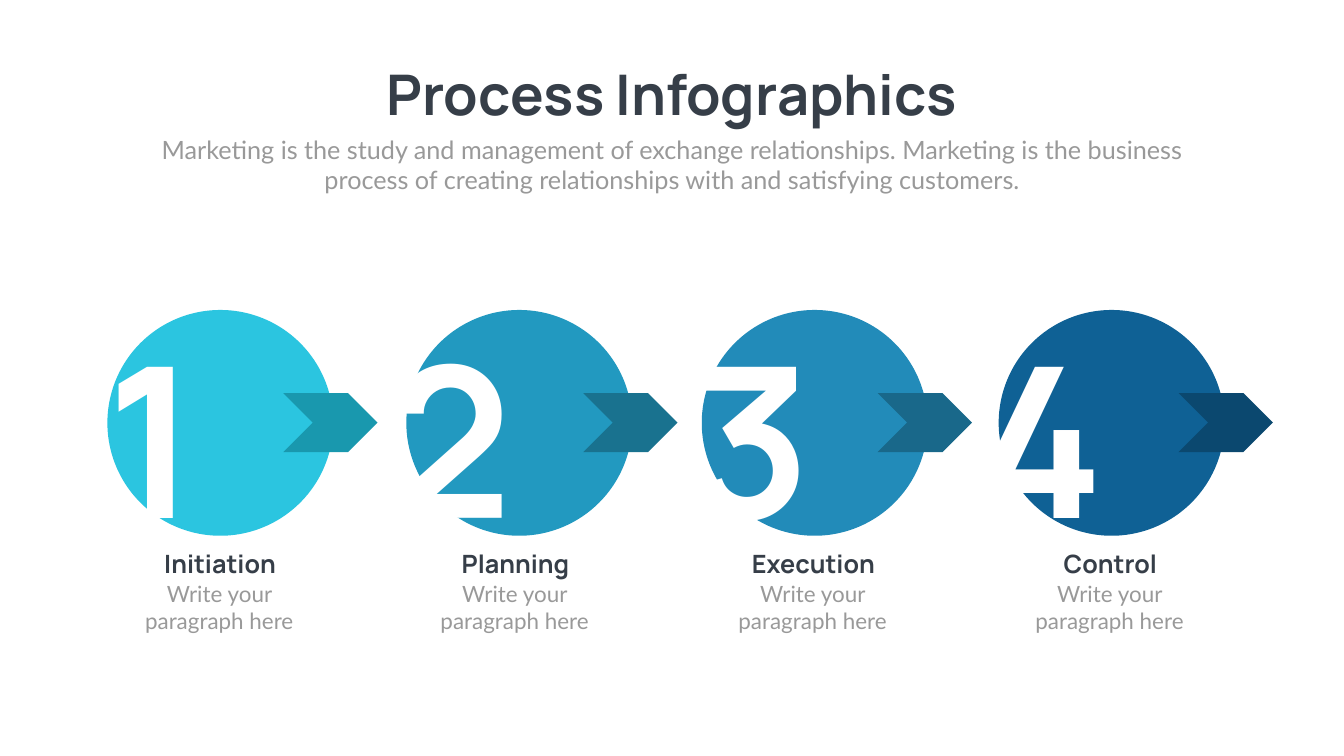
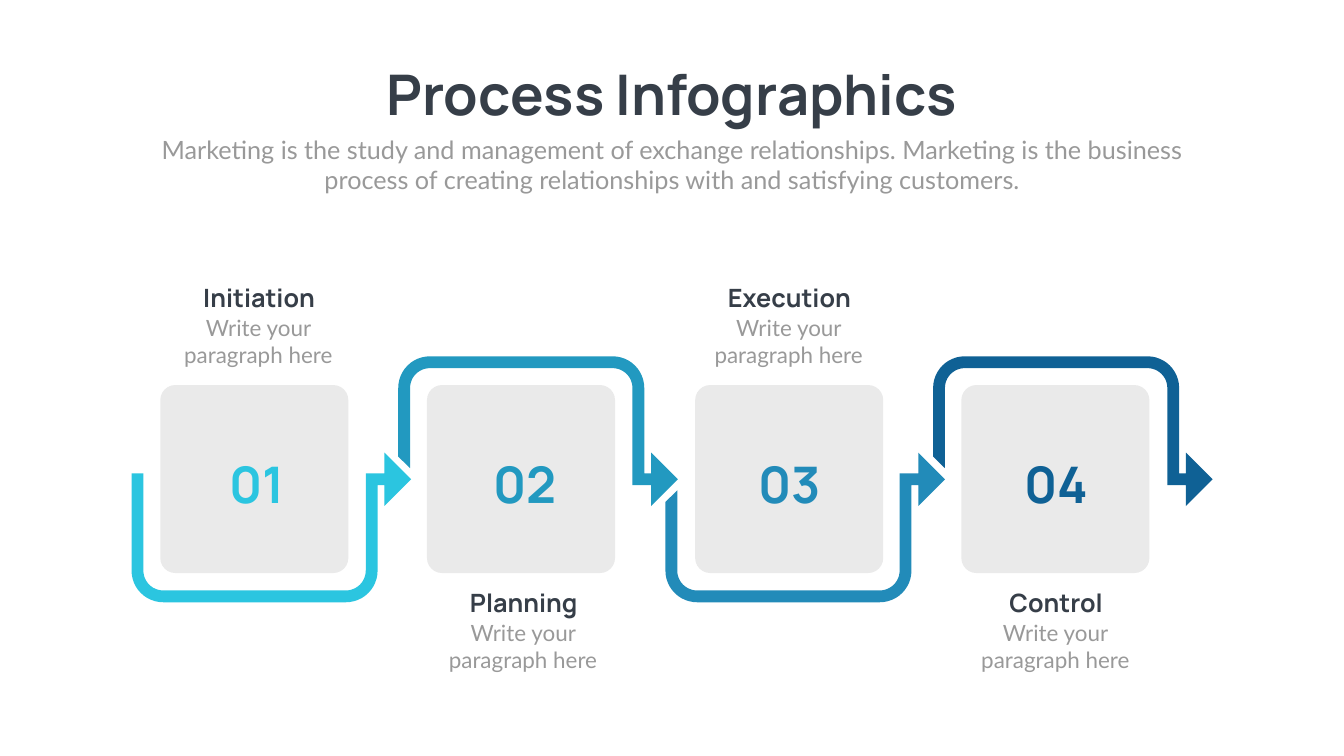
"""Build two process infographic slides, each with four steps."""
import math
from collections import namedtuple

from pptx import Presentation
from pptx import util as u
from pptx.dml import color
from pptx.enum import shapes, text

COLORS = {
    "title": "363E48",
    "body": "999999",
    "card": "EAEAEA",
    "white": "FFFFFF",
    "steps": ["2BC5E0", "2299C0", "228BB9", "0F6195"],
    "arrows": ["1998AE", "19728F", "19688A", "0B486F"],
}
HEADING_FONT, BODY_FONT = "Manrope", "Lato"
SLIDE_WIDTH, SLIDE_HEIGHT = 1919.52, 1080
TITLE = "Process Infographics"
SUBTITLE = ("Marketing is the study and management of exchange relationships. "
            "Marketing is the business process of creating relationships "
            "with and satisfying customers.")
STEP_NAMES = ["Initiation", "Planning", "Execution", "Control"]
STEP_TEXT = "Write your paragraph here"

Box = namedtuple("Box", "left top width height")
CircleStep = namedtuple("CircleStep", "circle number caption arrow")
CardStep = namedtuple("CardStep", "card number caption track")

CIRCLE_STEPS = [
    CircleStep(153.36, 70.56, 176.4, 404.64),
    CircleStep(580.32, 495.36, 598.32, 833.04),
    CircleStep(1002.24, 923.76, 1023.84, 1253.52),
    CircleStep(1426.32, 1337.76, 1447.92, 1683.36),
]
CARD_STEPS = [
    CardStep(228.96, 299.52, 246.96, 187.92),
    CardStep(609.84, 682.56, 624.96, 568.8),
    CardStep(992.88, 1060.56, 1004.4, 950.4),
    CardStep(1373.04, 1440.72, 1385.28, 1332.72),
]


def rgb(value):
    return color.RGBColor.from_string(value)


def points(box):
    return [u.Pt(length) for length in box]


def paint(shape, fill):
    shape.shadow.inherit = False
    shape.fill.solid()
    shape.fill.fore_color.rgb = rgb(fill)
    shape.line.fill.background()


def add_preset(slide, kind, box, fill):
    shape = slide.shapes.add_shape(kind, *points(box))
    paint(shape, fill)
    return shape


def add_text(slide, box, content, size, font_color, heading=True):
    shape = slide.shapes.add_textbox(*points(box))
    frame = shape.text_frame
    frame.word_wrap = True
    frame.auto_size = text.MSO_AUTO_SIZE.SHAPE_TO_FIT_TEXT
    paragraph = frame.paragraphs[0]
    paragraph.text = content
    paragraph.alignment = text.PP_ALIGN.CENTER
    paragraph.font.name = HEADING_FONT if heading else BODY_FONT
    paragraph.font.size = u.Pt(size)
    paragraph.font.bold = heading
    paragraph.font.color.rgb = rgb(font_color)


def add_header(slide, box):
    title_width = 887.04
    title_left = box.left + (box.width - title_width) / 2
    add_text(slide, Box(title_left, box.top, title_width, 104.4),
             TITLE, 80, COLORS["title"])
    add_text(slide, Box(box.left, box.top + 105.84, box.width, 94.32),
             SUBTITLE, 36, COLORS["body"], heading=False)


def add_caption(slide, box, name, name_left, name_width):
    add_text(slide, Box(box.left + name_left, box.top, name_width, 51.12),
             name, 36, COLORS["title"])
    add_text(slide, Box(box.left, box.top + 45.36, box.width, 84.96),
             STEP_TEXT, 32, COLORS["body"], heading=False)


def add_circle_step(slide, box, index, step):
    add_preset(slide, shapes.MSO_SHAPE.OVAL,
               Box(box.left, box.top, box.width, box.width), COLORS["steps"][index])
    add_text(slide, Box(step.number, box.top - 5.04, 295.2, 370.8),
             str(index + 1), 300, COLORS["white"])
    add_caption(slide, Box(step.caption, box.top + 336.96, 273.6, 130.32),
                STEP_NAMES[index], 41.8, 192.24)
    add_preset(slide, shapes.MSO_SHAPE.CHEVRON,
               Box(step.arrow, box.top + 118.8, 134.64, 84.24),
               COLORS["arrows"][index])


def arc(center_x, center_y, radius, start, end, segments=12):
    angles = [math.radians(start + (end - start) * i / segments)
              for i in range(segments + 1)]
    return [(center_x + radius * math.cos(angle), center_y + radius * math.sin(angle))
            for angle in angles]


def add_track(slide, box, fill, upward, square_start):
    """Draw a U-shaped band ending in an arrowhead, turned over when upward."""
    band, outer = 16.9, 45.2
    inner = outer - band
    head_left = box.width - 38.16
    middle = 38.16
    shaft_top, shaft_bottom = middle - band / 2, middle + band / 2
    corner_y = box.height - outer
    right_x = 306.2
    start_inner, start_outer = (shaft_top, shaft_top) if square_start else (54, 70.6)
    outline = [
        (box.width, middle), (head_left, 0), (head_left, shaft_top),
        (right_x + inner, shaft_top),
        *arc(right_x, corner_y, inner, 0, 90),
        *arc(outer, corner_y, inner, 90, 180),
        (band, start_inner), (0, start_outer),
        *arc(outer, corner_y, outer, 180, 90),
        *arc(right_x, corner_y, outer, 90, 0),
        (right_x + outer, shaft_bottom), (head_left, shaft_bottom),
        (head_left, 2 * middle),
    ]
    vertices = [(u.Pt(box.left + x), u.Pt(box.top + (box.height - y if upward else y)))
                for x, y in outline]
    builder = slide.shapes.build_freeform(*vertices[0])
    builder.add_line_segments(vertices[1:], close=True)
    paint(builder.convert_to_shape(), fill)


def add_card_step(slide, box, index, step):
    upward = index % 2 == 1
    fill = COLORS["steps"][index]
    card = add_preset(slide, shapes.MSO_SHAPE.ROUNDED_RECTANGLE, box, COLORS["card"])
    card.adjustments[0] = 0.08
    track_top = box.top + (-41.04 if upward else 96.48)
    add_track(slide, Box(step.track, track_top, 399.3, 213.84), fill, upward, index == 0)
    caption_top = box.top + (285.12 if upward else -150.48)
    add_caption(slide, Box(step.caption, caption_top, 244.08, 130.32),
                STEP_NAMES[index], 2.16, 241.92)
    add_text(slide, Box(step.number, box.top + 94.32, 135.36, 94.32),
             f"{index + 1:02d}", 72, fill)


def add_slide(presentation):
    slide = presentation.slides.add_slide(presentation.slide_layouts[6])
    add_header(slide, Box(210.24, 82.08, 1499.04, 200.16))
    return slide


def build_circle_slide(presentation):
    slide = add_slide(presentation)
    for index, step in enumerate(CIRCLE_STEPS):
        add_circle_step(slide, Box(step.circle, 442.8, 322.56, 467.28), index, step)


def build_card_slide(presentation):
    slide = add_slide(presentation)
    for index, step in enumerate(CARD_STEPS):
        add_card_step(slide, Box(step.card, 550.08, 268.56, 268.56), index, step)


def main():
    presentation = Presentation()
    presentation.slide_width = u.Pt(SLIDE_WIDTH)
    presentation.slide_height = u.Pt(SLIDE_HEIGHT)
    build_circle_slide(presentation)
    build_card_slide(presentation)
    presentation.save("out.pptx")


if __name__ == "__main__":
    main()
